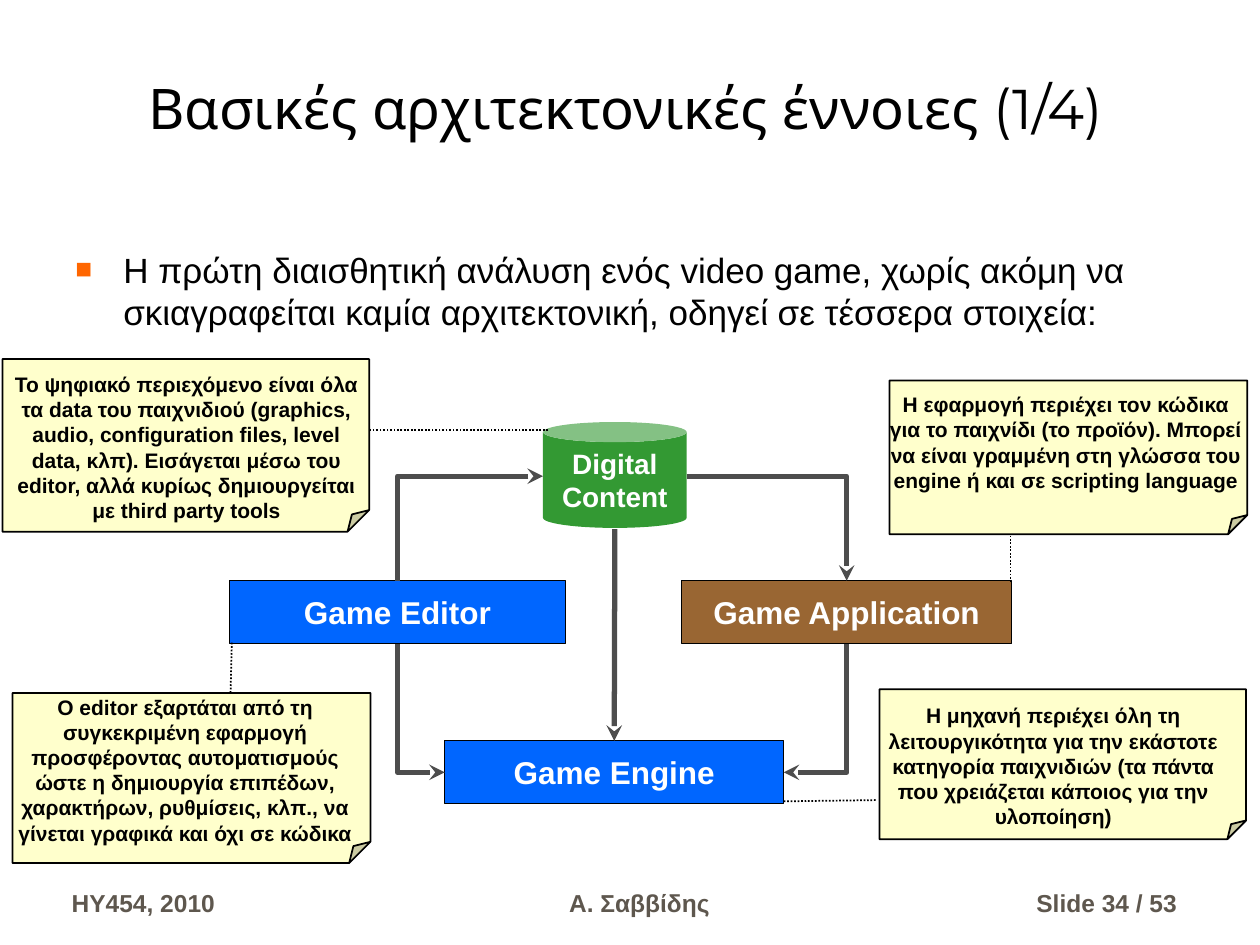
from lxml import etree
from pptx import Presentation
from pptx.dml.color import RGBColor
from pptx.enum.dml import MSO_LINE
from pptx.enum.shapes import MSO_CONNECTOR, MSO_SHAPE
from pptx.enum.text import MSO_ANCHOR, PP_ALIGN
from pptx.oxml.ns import qn
from pptx.util import Inches, Pt

STRAIGHT, ELBOW = MSO_CONNECTOR.STRAIGHT, MSO_CONNECTOR.ELBOW
RECT, CAN, NOTE = MSO_SHAPE.RECTANGLE, MSO_SHAPE.CAN, MSO_SHAPE.FOLDED_CORNER
TOP, MIDDLE, BOTTOM = MSO_ANCHOR.TOP, MSO_ANCHOR.MIDDLE, MSO_ANCHOR.BOTTOM
LEFT, CENTER, RIGHT = PP_ALIGN.LEFT, PP_ALIGN.CENTER, PP_ALIGN.RIGHT
DOTTED = MSO_LINE.ROUND_DOT
SIDE_TOP, SIDE_LEFT, SIDE_BOTTOM, SIDE_RIGHT = range(4)

COLORS = {
    "black": "000000",
    "white": "FFFFFF",
    "footer": "5E574E",
    "note": "FFFFCC",
    "blue": "0066FF",
    "brown": "996633",
    "green": "339933",
    "arrow": "4D4D4D",
    "bullet": "FF6600",
}

FOOTERS = [
    ("HY454, 2010", (0.47, 6.83, 2.19, 0.5), LEFT),
    ("Α. Σαββίδης", (3.49, 6.83, 3.17, 0.5), CENTER),
    ("Slide 34 / 53", (7.36, 6.83, 2.08, 0.5), RIGHT),
]

NOTES = [
    ((0.02, 2.85, 2.91, 1.37), (-0.01, 2.9, 2.98, 1.3),
     "Το ψηφιακό περιεχόμενο είναι όλα τα data του παιχνιδιού (graphics, audio, "
     "configuration files, level data, κλπ). Εισάγεται μέσω του editor, αλλά κυρίως "
     "δημιουργείται με third party tools"),
    ((0.1, 5.5, 2.84, 1.35), (-0.05, 5.46, 3.04, 1.3),
     "Ο editor εξαρτάται από τη συγκεκριμένη εφαρμογή προσφέροντας αυτοματισμούς ώστε "
     "η δημιουργία επιπέδων, χαρακτήρων, ρυθμίσεις, κλπ., να γίνεται γραφικά και όχι "
     "σε κώδικα"),
    ((6.98, 5.47, 2.91, 1.19), (6.94, 5.53, 2.84, 1.1),
     "Η μηχανή περιέχει όλη τη λειτουργικότητα για την εκάστοτε κατηγορία παιχνιδιών "
     "(τα πάντα που χρειάζεται κάποιος για την υλοποίηση)"),
    ((7.06, 3.02, 2.84, 1.22), (6.96, 3.06, 3, 1.1),
     "Η εφαρμογή περιέχει τον κώδικα για το παιχνίδι (το προϊόν). Μπορεί να είναι "
     "γραμμένη στη γλώσσα του engine ή και σε scripting language"),
]

NOTE_LINKS = [
    ((4.35, 3.41), (2.92, 3.41)),
    ((1.84, 5.1), (1.83, 5.5)),
    ((8.02, 4.25), (8.02, 4.63)),
    ((6.22, 6.36), (6.95, 6.35)),
]


def rgb(name):
    return RGBColor.from_string(COLORS[name])


def write(shape, lines, size, color="black", bold=True, font="Arial",
          align=CENTER, anchor=TOP, wrap=True):
    tf = shape.text_frame
    tf.word_wrap = wrap
    tf.vertical_anchor = anchor
    fmt = {"size": Pt(size), "bold": bold, "name": font}
    for i, line in enumerate(lines):
        p = tf.add_paragraph() if i else tf.paragraphs[0]
        p.alignment = align
        r = p.add_run()
        r.text = line
        for key, value in fmt.items():
            setattr(r.font, key, value)
        r.font.color.rgb = rgb(color)
    return tf


def add_text(shapes, box, text, size, **fmt):
    return write(shapes.add_textbox(*map(Inches, box)), [text], size, **fmt)


def add_block(shapes, kind, box, fill, line_width, adjustment=None):
    sp = shapes.add_shape(kind, *map(Inches, box))
    sp.shadow.inherit = False
    sp.fill.solid()
    sp.fill.fore_color.rgb = rgb(fill)
    if line_width:
        sp.line.color.rgb = rgb("black")
        sp.line.width = Pt(line_width)
    else:
        sp.line.fill.background()
    if adjustment:
        geometry = sp._element.spPr.find(qn("a:prstGeom"))
        for old in geometry.findall(qn("a:avLst")):
            geometry.remove(old)
        guides = etree.SubElement(geometry, qn("a:avLst"))
        etree.SubElement(guides, qn("a:gd"), name="adj",
                         fmla=f"val {round(adjustment * 100000)}")
    return sp


def add_note(s, box, text_box, text):
    group = s.shapes.add_group_shape()
    add_block(group.shapes, NOTE, box, "note", 1, 0.125)
    add_text(group.shapes, text_box, text, 12)


def add_line(s, kind, start, end, color, width):
    line = s.shapes.add_connector(kind, *map(Inches, (*start, *end)))
    line.line.color.rgb = rgb(color)
    line.line.width = Pt(width)
    etree.SubElement(line._element.spPr, qn("a:effectLst"))
    return line


def add_arrow(s, kind, start, end, arrow_end):
    line = add_line(s, kind, start, end, "arrow", 3)
    etree.SubElement(line.line._get_or_add_ln(), qn(f"a:{arrow_end}"), type="stealth")
    if kind == ELBOW:
        line._element.spPr.find(qn("a:prstGeom")).set("prst", "bentConnector2")
    return line


def add_bullet(p):
    pPr = p._p.get_or_add_pPr()
    pPr.set("marL", str(Inches(0.38)))
    pPr.set("indent", str(-Inches(0.38)))
    color = etree.SubElement(pPr, qn("a:buClr"))
    etree.SubElement(color, qn("a:srgbClr"), val=COLORS["bullet"])
    etree.SubElement(pPr, qn("a:buSzPct"), val="80000")
    etree.SubElement(pPr, qn("a:buFont"), typeface="Arial")
    etree.SubElement(pPr, qn("a:buChar"), char="■")


def add_diagram(s):
    blocks = {}
    for text, box, fill in [
        ("Game Engine", (3.53, 5.88, 2.69, 0.5), "blue"),
        ("Game Editor", (1.82, 4.61, 2.67, 0.5), "blue"),
        ("Game Application", (5.41, 4.61, 2.62, 0.5), "brown"),
    ]:
        blocks[text] = add_block(s.shapes, RECT, box, fill, 0.75)
        write(blocks[text], [text], 18, "white", anchor=MIDDLE, wrap=False)
    engine, editor, application = blocks.values()

    can = add_block(s.shapes, CAN, (4.31, 3.35, 1.14, 0.84), "green", 0, 0.19)
    write(can, ["Digital", "Content"], 16, "white", anchor=MIDDLE, wrap=False)

    line = add_arrow(s, STRAIGHT, (4.88, 4.2), (4.87, 5.88), "tailEnd")
    line.end_connect(engine, SIDE_TOP)
    for start, end, target, arrow_end in [
        ((4.31, 3.78), (3.16, 4.61), editor, "headEnd"),
        ((5.45, 3.78), (6.72, 4.61), application, "tailEnd"),
    ]:
        line = add_arrow(s, ELBOW, start, end, arrow_end)
        line.end_connect(target, SIDE_TOP)
    for start, end, side, target in [
        ((6.22, 6.13), (6.72, 5.11), SIDE_RIGHT, application),
        ((3.53, 6.13), (3.16, 5.11), SIDE_LEFT, editor),
    ]:
        line = add_arrow(s, ELBOW, start, end, "headEnd")
        line.begin_connect(engine, side)
        line.end_connect(target, SIDE_BOTTOM)


def main():
    prs = Presentation()
    prs.slide_width, prs.slide_height = Inches(10), Inches(7.5)
    s = prs.slides.add_slide(prs.slide_layouts[6])

    for text, box, align in FOOTERS:
        add_text(s.shapes, box, text, 14, color="footer", align=align, anchor=BOTTOM)
    add_text(s.shapes, (1.08, 0.17, 8.92, 1), "Βασικές αρχιτεκτονικές έννοιες (1/4)", 32,
             bold=False, font="Montserrat", align=LEFT, anchor=BOTTOM)
    tf = add_text(s.shapes, (0.5, 1.92, 9.08, 4.83),
                  "Η πρώτη διαισθητική ανάλυση ενός video game, χωρίς ακόμη να "
                  "σκιαγραφείται καμία αρχιτεκτονική, οδηγεί σε τέσσερα στοιχεία:",
                  20, bold=False, align=LEFT)
    add_bullet(tf.paragraphs[0])

    for note in NOTES:
        add_note(s, *note)
    add_diagram(s)
    for start, end in NOTE_LINKS:
        add_line(s, STRAIGHT, start, end, "black", 1).line.dash_style = DOTTED
    prs.save("out.pptx")


if __name__ == "__main__":
    main()
